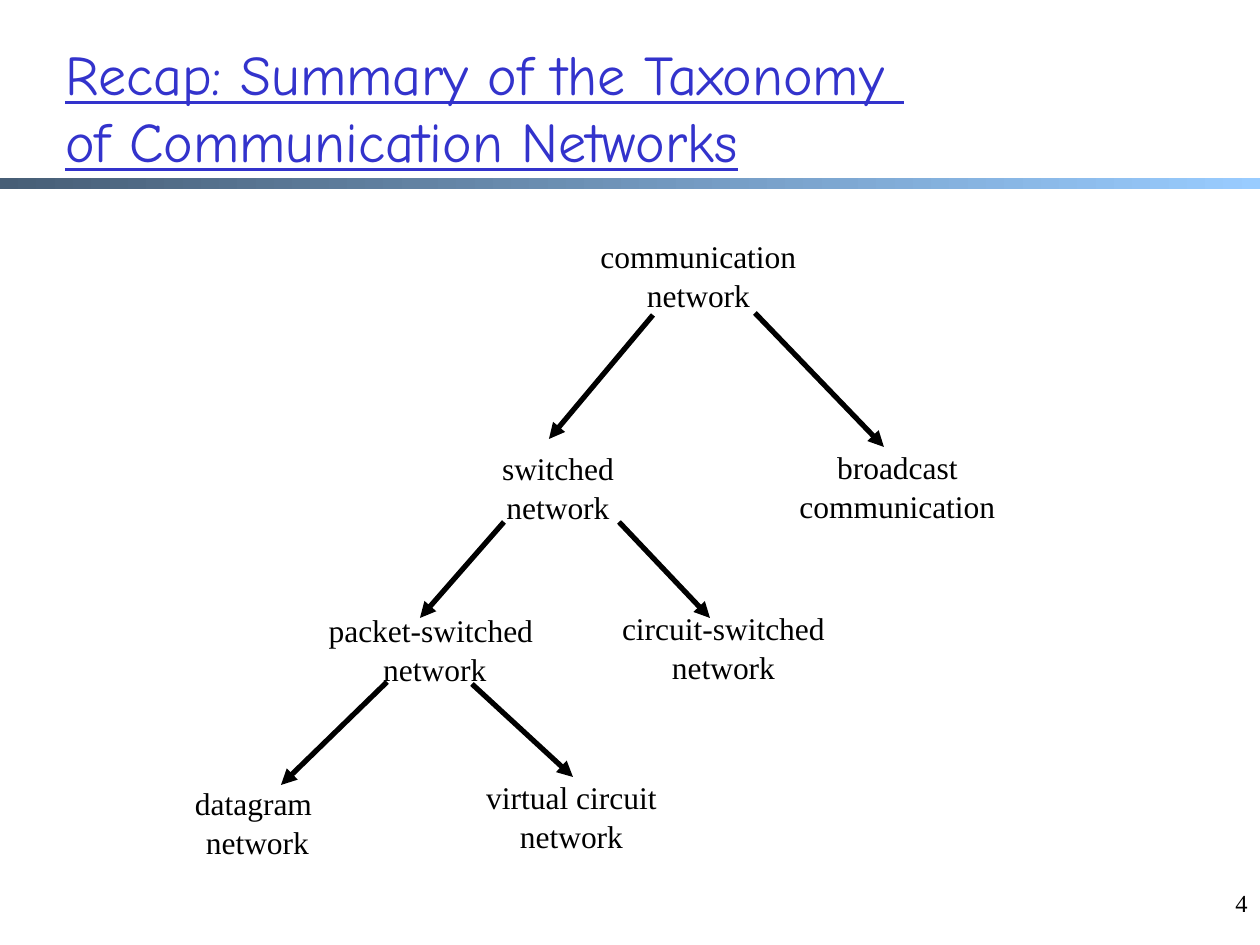
from lxml import etree
from pptx import Presentation
from pptx.dml.color import RGBColor
from pptx.enum.shapes import MSO_CONNECTOR, MSO_SHAPE
from pptx.enum.text import MSO_AUTO_SIZE, PP_ALIGN
from pptx.oxml.ns import qn
from pptx.util import Emu, Pt

PX = 914400 // 126
LEFT, CENTER, RIGHT = PP_ALIGN.LEFT, PP_ALIGN.CENTER, PP_ALIGN.RIGHT
STRAIGHT = MSO_CONNECTOR.STRAIGHT
RECTANGLE = MSO_SHAPE.RECTANGLE
GROW = MSO_AUTO_SIZE.SHAPE_TO_FIT_TEXT

COLORS = {"title": "3333CC", "ink": "000000", "bar_start": "475E76", "bar_end": "99CCFF"}
TITLE_FONT, BODY_FONT = "Comic Neue", "Times New Roman"
NODE_HEIGHT = 89

TITLE = "Recap: Summary of the Taxonomy \vof Communication Networks"
NODES = [
    ("communication network", 586, 229, 225),
    ("switched\vnetwork", 471, 441, 174),
    ("broadcast\vcommunication", 785, 440, 225),
    ("packet-switched\v network", 304, 603, 254),
    ("circuit-switched\vnetwork", 582, 601, 283),
    ("datagram\v network", 112, 776, 283),
    ("virtual circuit network", 430, 770, 283),
]
ARROWS = [
    ((653, 315), (549, 439)),
    ((755, 313), (884, 447)),
    ((504, 522), (420, 618)),
    ((619, 522), (710, 618)),
    ((387, 682), (281, 785)),
    ((472, 684), (573, 777)),
]


def px(*lengths):
    return [Emu(length * PX) for length in lengths]


def color(name):
    return RGBColor.from_string(COLORS[name])


def add_text(slide, text, box, size, font=BODY_FONT, ink="ink", align=LEFT):
    shape = slide.shapes.add_textbox(*px(*box))
    frame = shape.text_frame
    frame.word_wrap = True
    frame.text = text
    paragraph = frame.paragraphs[0]
    paragraph.alignment = align
    paragraph.font.name = font
    paragraph.font.size = Pt(size)
    paragraph.font.color.rgb = color(ink)
    return frame


def add_node(slide, text, left, top, width):
    frame = add_text(slide, text, (left, top, width, NODE_HEIGHT), 18, align=CENTER)
    frame.auto_size = GROW
    frame.paragraphs[0].line_spacing = 1.04


def add_arrow(slide, start, end):
    connector = slide.shapes.add_connector(STRAIGHT, *px(*start, *end))
    connector.line.color.rgb = color("ink")
    connector.line.width = Pt(3)
    line = connector.line._get_or_add_ln()
    etree.SubElement(line, qn("a:tailEnd"), type="triangle")
    etree.SubElement(connector._element.spPr, qn("a:effectLst"))


def add_bar(slide):
    bar = slide.shapes.add_shape(RECTANGLE, *px(0, 178, 1260, 11))
    bar.shadow.inherit = False
    bar.line.fill.background()
    bar.fill.gradient()
    bar.fill.gradient_angle = 0
    for stop, name in zip(bar.fill.gradient_stops, ("bar_start", "bar_end")):
        stop.color.rgb = color(name)


def main():
    presentation = Presentation()
    presentation.slide_width, presentation.slide_height = px(1260, 945)
    slide = presentation.slides.add_slide(presentation.slide_layouts[6])
    add_bar(slide)
    add_text(slide, "4", (966, 882, 294, 63), 14, align=RIGHT)
    title = add_text(slide, TITLE, (53, 33, 1071, 83), 32, TITLE_FONT, "title")
    title.paragraphs[0].font.underline = True
    for node in NODES:
        add_node(slide, *node)
    for start, end in ARROWS:
        add_arrow(slide, start, end)
    presentation.save("out.pptx")


if __name__ == "__main__":
    main()
